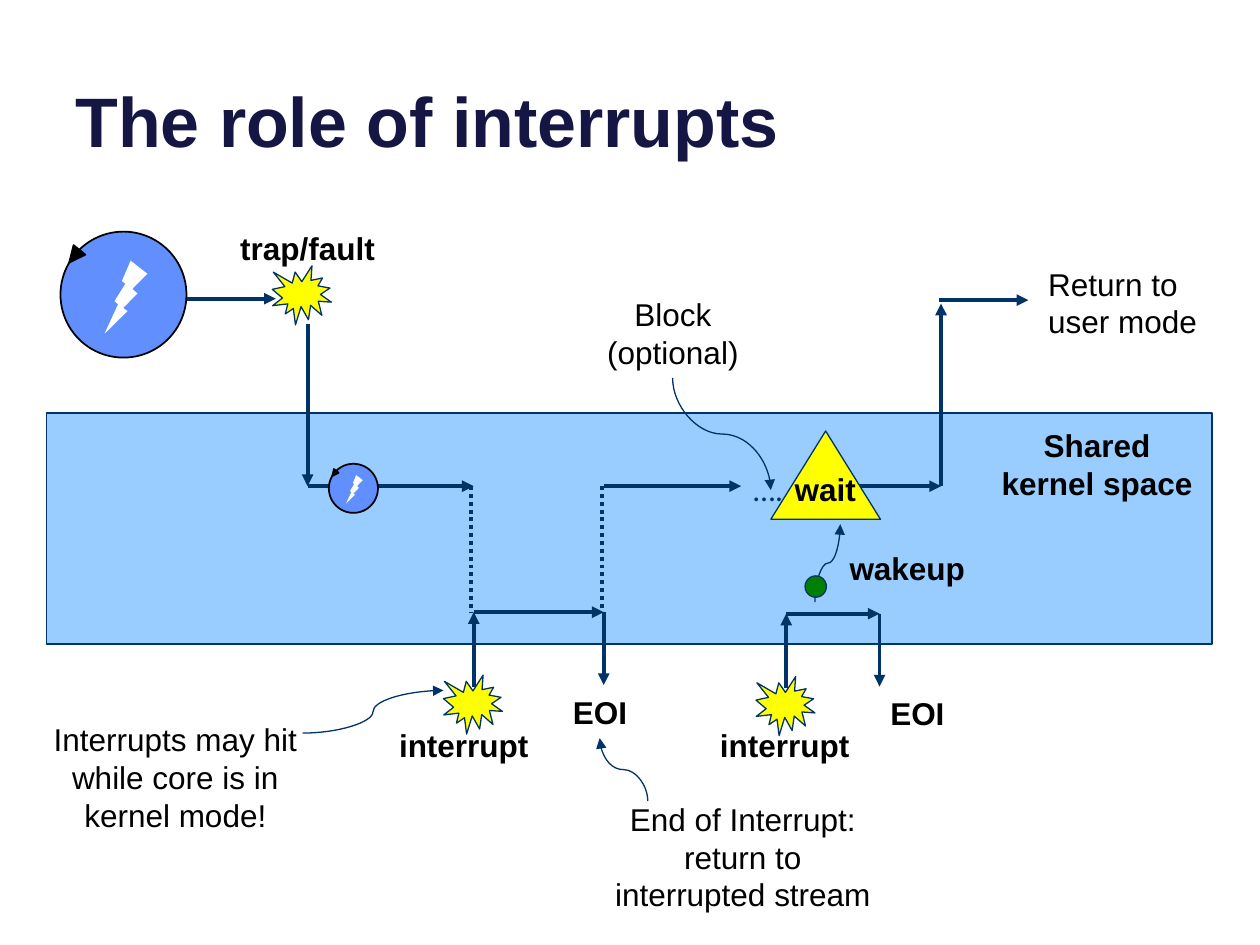
from dataclasses import dataclass

from lxml.etree import SubElement
from pptx import Presentation
from pptx.dml.color import RGBColor
from pptx.enum.dml import MSO_LINE
from pptx.enum.shapes import MSO_CONNECTOR, MSO_SHAPE
from pptx.enum.text import MSO_ANCHOR, PP_ALIGN
from pptx.oxml.ns import qn
from pptx.util import Cm, Pt


@dataclass(frozen=True)
class Theme:
    title: str = "161645"
    navy: str = "003367"
    black: str = "000000"
    white: str = "FFFFFF"
    core: str = "618FFD"
    kernel: str = "99CCFF"
    yellow: str = "FFFF00"
    green: str = "008000"
    font: str = "Arial"
    dots_font: str = "Calibri"
    title_size: float = 40
    body_size: float = 18
    flow: float = 2.25
    outline: float = 1
    thin: float = 0.75


class Diagram:
    """Draws on one slide; all positions are in centimetres."""

    def __init__(self, slide, theme):
        self.slide = slide
        self.theme = theme

    def text(self, words, left, top, width, height, bold=False, align=PP_ALIGN.CENTER,
             size=None, color=None, font=None, wrap=True, anchor=MSO_ANCHOR.TOP):
        box = self.slide.shapes.add_textbox(Cm(left), Cm(top), Cm(width), Cm(height))
        frame = box.text_frame
        frame.word_wrap = wrap
        frame.vertical_anchor = anchor
        frame.text = words
        paragraph = frame.paragraphs[0]
        paragraph.alignment = align
        style = paragraph.runs[0].font
        style.name = font or self.theme.font
        style.size = Pt(size or self.theme.body_size)
        style.bold = bold
        style.color.rgb = RGBColor.from_string(color or self.theme.black)

    def shape(self, preset, left, top, width, height, fill, line=None, weight=None,
              rotation=0, flip=None, group=None):
        parent = group or self.slide
        shape = parent.shapes.add_shape(preset, Cm(left), Cm(top), Cm(width), Cm(height))
        shape.shadow.inherit = False
        shape.rotation = rotation
        shape.fill.solid()
        shape.fill.fore_color.rgb = RGBColor.from_string(fill)
        if line:
            shape.line.color.rgb = RGBColor.from_string(line)
            shape.line.width = Pt(weight or self.theme.thin)
        else:
            shape.line.fill.background()
        if flip:
            shape._element.spPr.find(qn("a:xfrm")).set(flip, "1")

    def line(self, start, end, kind=MSO_CONNECTOR.STRAIGHT, weight=None, dotted=False):
        """Add a line, with an arrowhead at its end unless it is dotted."""
        link = self.slide.shapes.add_connector(kind, *map(Cm, start + end))
        link.line.color.rgb = RGBColor.from_string(self.theme.navy)
        link.line.width = Pt(weight or self.theme.flow)
        properties = link._element.spPr
        if dotted:
            link.line.dash_style = MSO_LINE.ROUND_DOT
        else:
            SubElement(properties.find(qn("a:ln")), qn("a:tailEnd"), type="triangle")
        SubElement(properties, qn("a:effectLst"))
        return link

    def curve(self, start, end, vertical=True):
        """Add a thin S-curve; a vertical one is a horizontal one turned by 90 degrees."""
        if vertical:
            (x1, y1), (x2, y2) = start, end
            mid_x, mid_y = (x1 + x2) / 2, (y1 + y2) / 2
            half_run, half_rise = (y2 - y1) / 2, (x1 - x2) / 2
            start = (mid_x - half_run, mid_y - half_rise)
            end = (mid_x + half_run, mid_y + half_rise)
        link = self.line(start, end, MSO_CONNECTOR.CURVE, self.theme.thin)
        if vertical:
            link.rotation = 90

    def core(self, left, top, size):
        """Add a running core: a disc with a bolt and an arrowhead on its rim."""
        theme = self.theme
        group = self.slide.shapes.add_group_shape()
        self.shape(MSO_SHAPE.OVAL, left, top, size, size, theme.core, theme.black,
                   theme.outline, group=group)
        self.shape(MSO_SHAPE.LIGHTNING_BOLT, left + 0.35 * size, top + 0.23 * size,
                   0.34 * size, 0.58 * size, theme.white, flip="flipH", group=group)
        self.shape(MSO_SHAPE.ISOSCELES_TRIANGLE, left + 0.05 * size, top + 0.13 * size,
                   0.12 * size, 0.13 * size, theme.black, theme.black, theme.outline,
                   rotation=219, group=group)

    def burst(self, left, top):
        self.shape(MSO_SHAPE.EXPLOSION1, left, top, 1.19, 1.19,
                   self.theme.yellow, self.theme.navy)

    def interrupt(self, entry_x, exit_x, handler_y, label_x, eoi_x):
        """Add one interrupt: burst, way in, handler, way out and both labels."""
        self.burst(entry_x - 0.61, handler_y + 1.27)
        self.line((entry_x, handler_y + 1.5), (entry_x, handler_y))
        self.line((entry_x, handler_y), (exit_x, handler_y))
        self.line((exit_x, handler_y), (exit_x, handler_y + 1.47))
        self.text("interrupt", label_x, 14.52, 4.06, 1.03, bold=True)
        self.text("EOI", eoi_x, handler_y + 1.5, 1.93, 1.03, bold=True)


def main():
    deck = Presentation()
    deck.slide_width, deck.slide_height = Cm(25.4), Cm(19.05)
    theme = Theme()
    diagram = Diagram(deck.slides.add_slide(deck.slide_layouts[6]), theme)

    diagram.text("The role of interrupts", 1.27, -0.94, 22.86, 4.32, bold=True,
                 align=PP_ALIGN.LEFT, size=theme.title_size, color=theme.title,
                 anchor=MSO_ANCHOR.BOTTOM)
    diagram.shape(MSO_SHAPE.FLOWCHART_PROCESS, 0.94, 8.33, 23.5, 4.65,
                  theme.kernel, theme.navy, theme.outline)

    user_y, kernel_y, handler_y = 6.02, 9.8, 12.34
    trap_x, entry_x, exit_x, return_x = 6.2, 9.55, 12.17, 18.97

    # From user mode into the kernel and back
    diagram.core(1.22, 4.67, 2.54)
    diagram.burst(5.49, 5.36)
    for start, end in [
        ((3.76, user_y), (5.56, user_y)),
        ((trap_x, kernel_y), (entry_x, kernel_y)),
        ((trap_x, 6.53), (trap_x, kernel_y)),
        ((exit_x, kernel_y), (14.94, kernel_y)),
        ((16.66, kernel_y), (return_x, kernel_y)),
        ((return_x, kernel_y), (return_x, 6.12)),
        ((return_x - 0.05, 6.05), (20.73, 6.05)),
    ]:
        diagram.line(start, end)
    diagram.core(6.63, 9.35, 0.99)

    # Interrupts; the first one suspends the running stream
    for x in (entry_x - 0.05, exit_x - 0.03):
        diagram.line((x, kernel_y), (x, handler_y), dotted=True)
    diagram.interrupt(entry_x, exit_x, handler_y, label_x=7.32, eoi_x=11.13)
    diagram.interrupt(15.85, 17.73, handler_y + 0.03, label_x=13.79, eoi_x=17.53)

    # Waiting and waking up
    diagram.text("…..", 14.94, 9.35, 1.27, 1.02, align=PP_ALIGN.LEFT,
                 color=theme.navy, font=theme.dots_font, wrap=False)
    diagram.shape(MSO_SHAPE.FLOWCHART_MERGE, 15.54, 8.69, 2.21, 1.78,
                  theme.yellow, theme.navy, flip="flipV")
    diagram.text("wait", 15.77, 9.35, 1.75, 1.02, bold=True,
                 align=PP_ALIGN.LEFT, wrap=False)
    diagram.curve((16.43, 12.14), (16.94, 10.57))
    diagram.shape(MSO_SHAPE.OVAL, 16.23, 11.61, 0.43, 0.43, theme.green, theme.navy)

    # Labels and their pointers
    diagram.curve((13.56, 7.62), (15.54, 9.88))
    diagram.curve((13.06, 16.15), (12.09, 14.88))
    diagram.curve((6.1, 14.78), (8.94, 13.92), vertical=False)
    for words, left, top, width, height, bold in [
        ("trap/fault", 4.17, 4.5, 4.06, 1.03, True),
        ("wakeup", 16.26, 10.95, 4.06, 1.03, True),
        ("Shared kernel space", 19.79, 8.46, 4.65, 1.8, True),
        ("Block (optional)", 11.84, 5.82, 3.45, 1.8, False),
        ("End of Interrupt: return to interrupted stream", 12.09, 16, 5.77, 2.57, False),
        ("Interrupts may hit while core is in kernel mode!", 0.51, 14.4, 6.05, 2.57, False),
    ]:
        diagram.text(words, left, top, width, height, bold)
    diagram.text("Return to user mode", 20.88, 5.21, 4.06, 1.8, align=PP_ALIGN.LEFT)

    deck.save("out.pptx")


if __name__ == "__main__":
    main()
